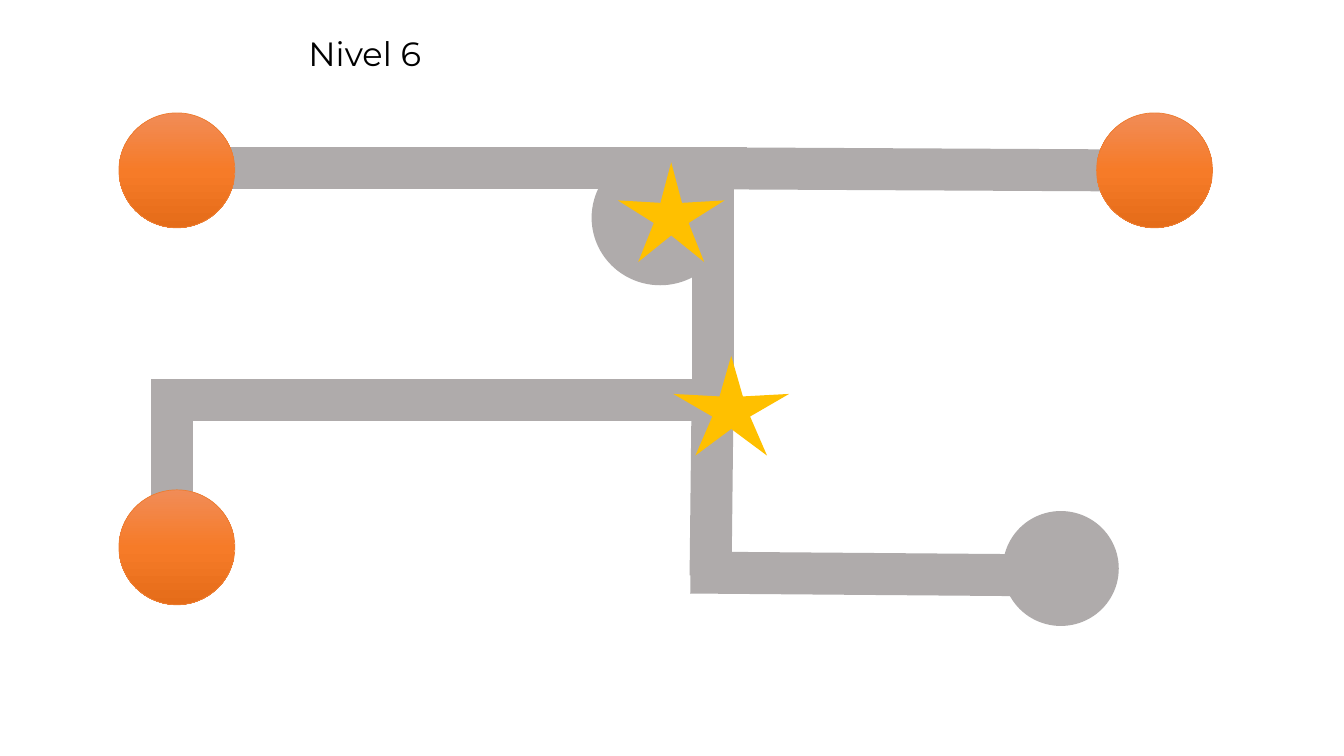
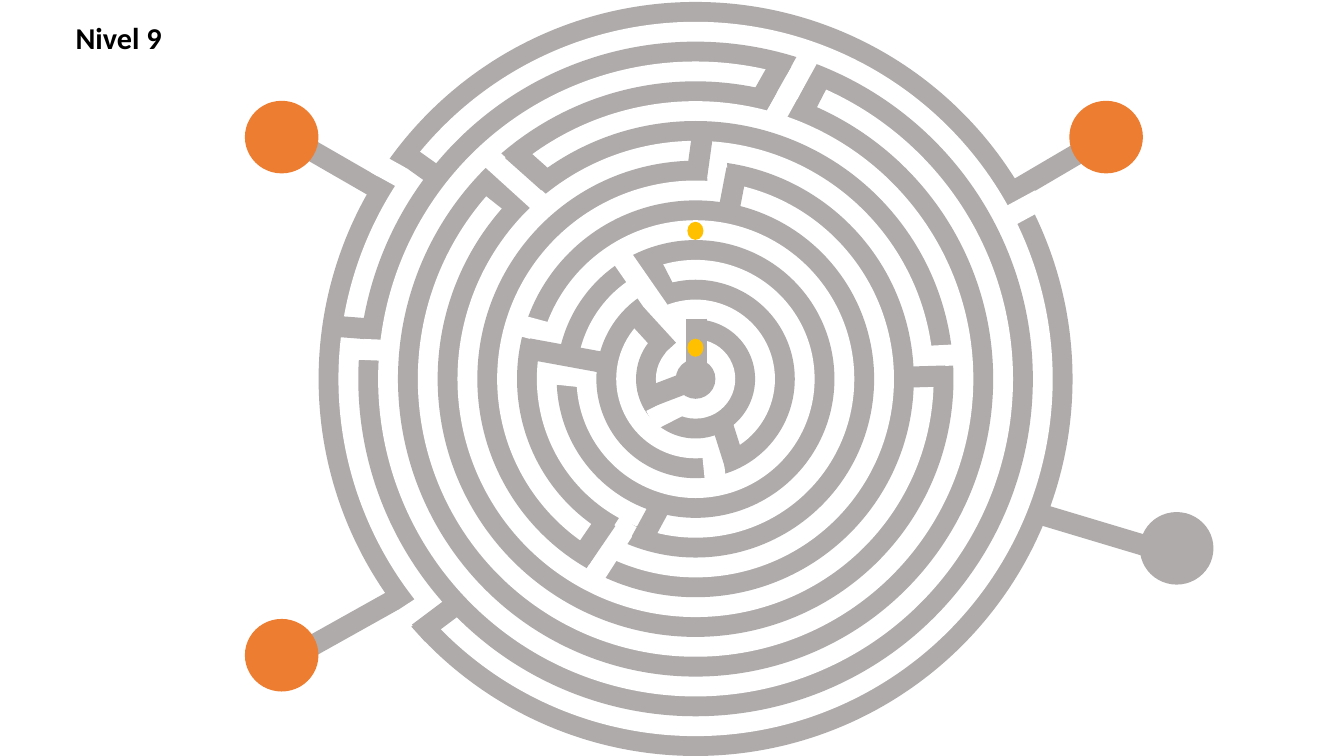
"""Build two maze levels, each with a title, grey paths, end points and rewards."""
from copy import deepcopy

from pptx import Presentation
from pptx.dml.color import RGBColor
from pptx.enum.shapes import MSO_CONNECTOR as CONNECTOR, MSO_SHAPE as SHAPE
from pptx.enum.text import MSO_ANCHOR as ANCHOR, MSO_AUTO_SIZE as AUTO_SIZE, PP_ALIGN as ALIGN
from pptx.oxml.ns import qn
from pptx.util import Cm, Pt

COLORS = {
    "path": "AFABAB",
    "gap": "FFFFFF",
    "start": "ED7D31",
    "reward": "FFC000",
    "text": "000000",
}
START_GRADIENT = [(0, "F18C57"), (0.5, "F67B28"), (1, "E56C19")]
GRID_CM = 2.54

TITLE_6 = {"text": "Nivel 6", "box": (2.96, 0.28, 2.84, 0.5), "font": "Montserrat",
           "size": 24, "bold": False, "anchor": ANCHOR.TOP, "spacing": 1.0}
TITLE_9 = {"text": "Nivel 9", "box": (0.65, 0.08, 1.14, 0.63), "font": "Calibri",
           "size": 21.6, "bold": True, "anchor": ANCHOR.MIDDLE, "spacing": 0.9}

CORRIDORS = [
    (7.07, 1.47, 7.07, 3.95),
    (7.07, 3.95, 7.05, 5.71),
    (10.96, 1.69, 7.04, 1.67),
    (7.41, 1.67, 2.1, 1.67),
    (10.62, 5.71, 6.85, 5.68),
    (7.26, 3.97, 1.5, 3.97),
    (1.71, 5.12, 1.71, 3.95),
]
CORRIDOR_WIDTH = 30
END_SIZE_6 = (1.15, 1.14)
STARTS_6 = [(1.18, 4.86), (1.18, 1.12), (10.88, 1.12)]
GOAL_6 = (9.95, 5.07)
JUNCTION = (5.87, 1.49, 1.36, 1.34)
STARS = [(6.68, 3.53, 1.15, 0.99), (6.13, 1.61, 1.06, 0.99)]

MAZE_CENTER = (17.53, 9.55)
MAZE_DIAMETER = 19
CORE_DIAMETER = 1
END_SIZE_9 = (0.73, 0.72)
STARTS_9 = [(2.43, 6.14), (2.43, 1), (10.61, 1)]
GOAL_9 = (11.31, 5.08)
DOTS = [(6.82, 3.36, 0.16, 0.18), (6.82, 2.2, 0.16, 0.18)]
MAZE_WIDTH = 15
MAZE_LINES = [
    ("path", 11.45, 5.44, 10.25, 5.08),
    ("path", 10.82, 1.45, 10.02, 1.92),
    ("path", 3.78, 1.89, 2.86, 1.36),
    ("path", 3.95, 5.93, 2.93, 6.5),
    ("gap", 9.97, 2.17, 10.32, 1.98),
    ("gap", 3.93, 6.19, 4.25, 5.98),
    ("path", 4.55, 5.98, 4.15, 6.28),
    ("path", 5.06, 2, 4.82, 1.81),
    ("gap", 3.44, 3.46, 3.93, 3.48),
    ("path", 8, 1.04, 8.14, 0.77),
    ("gap", 4.87, 1.57, 5.41, 2.06),
    ("gap", 8.02, 0.57, 7.66, 1.22),
    ("gap", 3.73, 1.62, 4.11, 1.83),
    ("path", 4.33, 1.75, 4.05, 1.55),
    ("path", 7.54, 1, 7.76, 0.61),
    ("path", 5.44, 1.81, 5.08, 1.49),
    ("path", 3.62, 3.26, 3.24, 3.23),
    ("gap", 9.5, 3.52, 9.11, 3.54),
    ("path", 9.05, 3.74, 9.38, 3.73),
    ("gap", 6.24, 5.18, 5.86, 5.77),
    ("gap", 7.09, 1.45, 7.14, 1.95),
    ("path", 6.91, 1.77, 6.97, 1.34),
    ("path", 5.76, 5.54, 6.02, 5.16),
    ("path", 7.22, 2.15, 7.31, 1.68),
    ("gap", 5.5, 3.32, 5.13, 3.22),
    ("gap", 5.88, 3.75, 5.41, 3.7),
    ("gap", 7.06, 4.39, 7.11, 4.89),
    ("path", 7.17, 4.22, 7.3, 4.63),
    ("path", 6.36, 5.37, 6.56, 5),
    ("path", 6.6, 2.89, 6.43, 2.56),
    ("gap", 6.85, 3.97, 6.46, 4.17),
    ("path", 6.36, 3.97, 6.91, 3.76),
    ("gap", 6.7, 3.12, 6.71, 3.6),
    ("gap", 6.73, 3.36, 6.14, 2.51),
    ("path", 6.63, 3.47, 6.31, 3.12),
    ("path", 5.95, 3.59, 5.24, 3.46),
    ("path", 6.91, 3.16, 6.91, 3.76),
]


def grid(values):
    """Turn grid units into lengths."""
    return [Cm(value * GRID_CM) for value in values]


def rgb(name):
    """Look up a named colour."""
    return RGBColor.from_string(COLORS[name])


def add_level(deck, title):
    """Add a title-only slide and format its title."""
    slide = deck.slides.add_slide(deck.slide_layouts[5])
    heading = slide.shapes.title
    heading.left, heading.top, heading.width, heading.height = grid(title["box"])
    frame = heading.text_frame
    frame.text = title["text"]
    frame.word_wrap = True
    frame.auto_size = AUTO_SIZE.NONE
    frame.vertical_anchor = title["anchor"]
    line = frame.paragraphs[0]
    line.alignment = ALIGN.LEFT
    line.line_spacing = title["spacing"]
    line.font.name = title["font"]
    line.font.size = Pt(title["size"])
    line.font.bold = title["bold"]
    line.font.color.rgb = rgb("text")
    return slide


def add_figure(slide, kind, box, color):
    """Add a flat preset shape without outline."""
    figure = slide.shapes.add_shape(kind, *box)
    figure.shadow.inherit = False
    figure.fill.solid()
    figure.fill.fore_color.rgb = rgb(color)
    figure.line.fill.background()
    return figure


def add_line(slide, ends, color, width):
    """Add a straight line without shadow."""
    line = slide.shapes.add_connector(CONNECTOR.STRAIGHT, *grid(ends))
    line.line.color.rgb = rgb(color)
    line.line.width = Pt(width)
    properties = line._element.spPr
    properties.append(properties.makeelement(qn("a:effectLst"), {}))


def shade_start(start):
    """Give a start point its gradient and thin outline."""
    start.fill.gradient()
    start.fill.gradient_angle = 270
    stop_list = start._element.spPr.find(qn("a:gradFill")).find(qn("a:gsLst"))
    stop_list.append(deepcopy(stop_list[0]))
    for stop, (position, color) in zip(start.fill.gradient_stops, START_GRADIENT):
        stop.position = position
        stop.color.rgb = RGBColor.from_string(color)
    start.line.color.rgb = rgb("start")
    start.line.width = Pt(0.5)


def add_disc(slide, diameter, color):
    """Add a disc centred on the round maze."""
    corner = [Cm(middle - diameter / 2) for middle in MAZE_CENTER]
    add_figure(slide, SHAPE.OVAL, (*corner, Cm(diameter), Cm(diameter)), color)


def build_level_6(deck):
    """Draw the level of straight corridors."""
    slide = add_level(deck, TITLE_6)
    for ends in CORRIDORS:
        add_line(slide, ends, "path", CORRIDOR_WIDTH)
    for corner in STARTS_6:
        shade_start(add_figure(slide, SHAPE.OVAL, grid(corner + END_SIZE_6), "start"))
    for box in (GOAL_6 + END_SIZE_6, JUNCTION):
        add_figure(slide, SHAPE.OVAL, grid(box), "path")
    for box in STARS:
        star = add_figure(slide, SHAPE.STAR_5_POINT, grid(box), "reward")
        star.adjustments[0] = 0.163


def build_level_9(deck):
    """Draw the round maze."""
    slide = add_level(deck, TITLE_9)
    for ring, diameter in enumerate(range(MAZE_DIAMETER, CORE_DIAMETER, -1)):
        add_disc(slide, diameter, "gap" if ring % 2 else "path")
    for color, *ends in MAZE_LINES:
        add_line(slide, ends, color, MAZE_WIDTH)
    for corner in STARTS_9:
        add_figure(slide, SHAPE.OVAL, grid(corner + END_SIZE_9), "start")
    add_figure(slide, SHAPE.OVAL, grid(GOAL_9 + END_SIZE_9), "path")
    for box in DOTS:
        add_figure(slide, SHAPE.OVAL, grid(box), "reward")
    add_disc(slide, CORE_DIAMETER, "path")


def main():
    """Build and save both levels."""
    deck = Presentation()
    deck.slide_width, deck.slide_height = Cm(33.87), Cm(19.05)
    build_level_6(deck)
    build_level_9(deck)
    deck.save("out.pptx")


if __name__ == "__main__":
    main()
